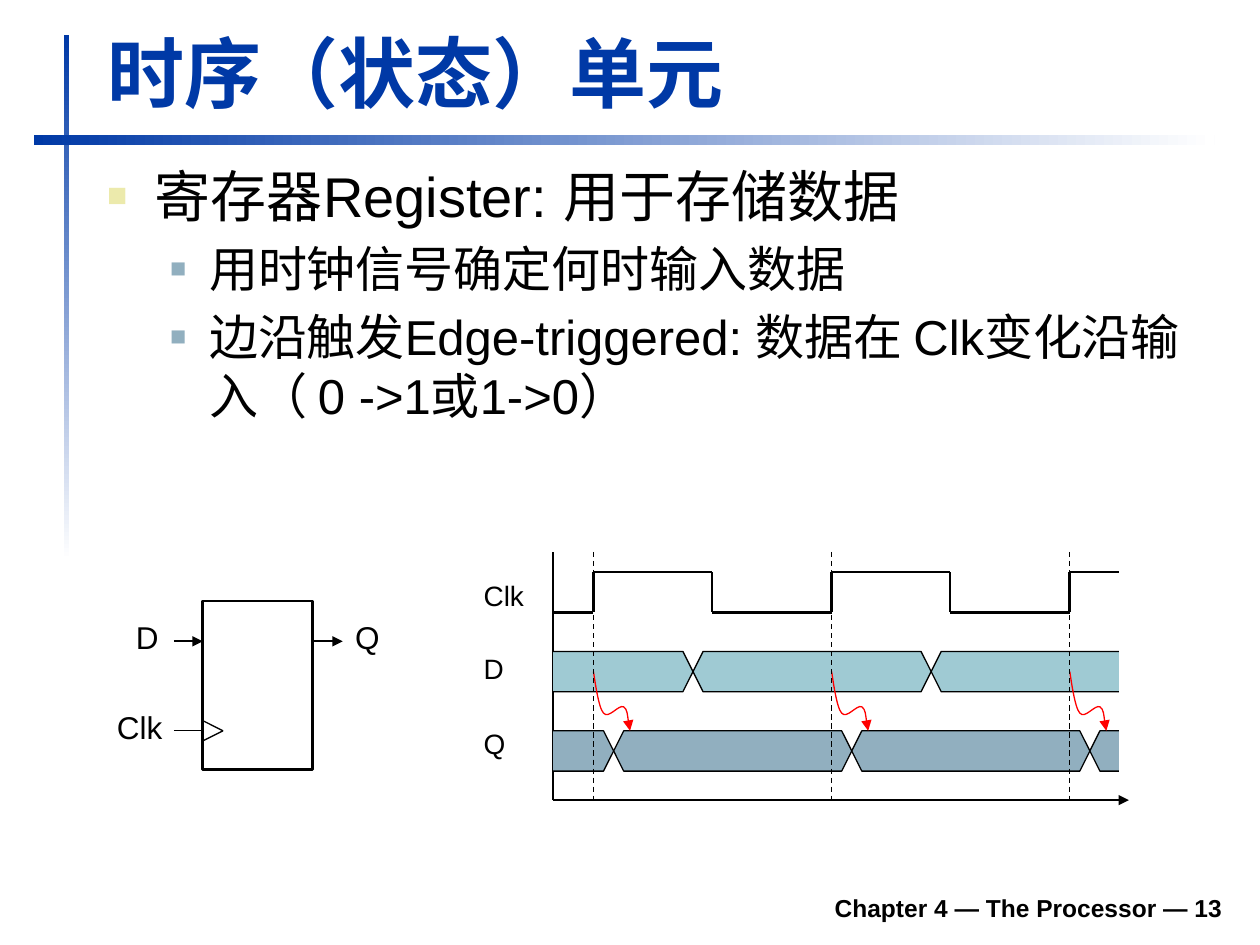
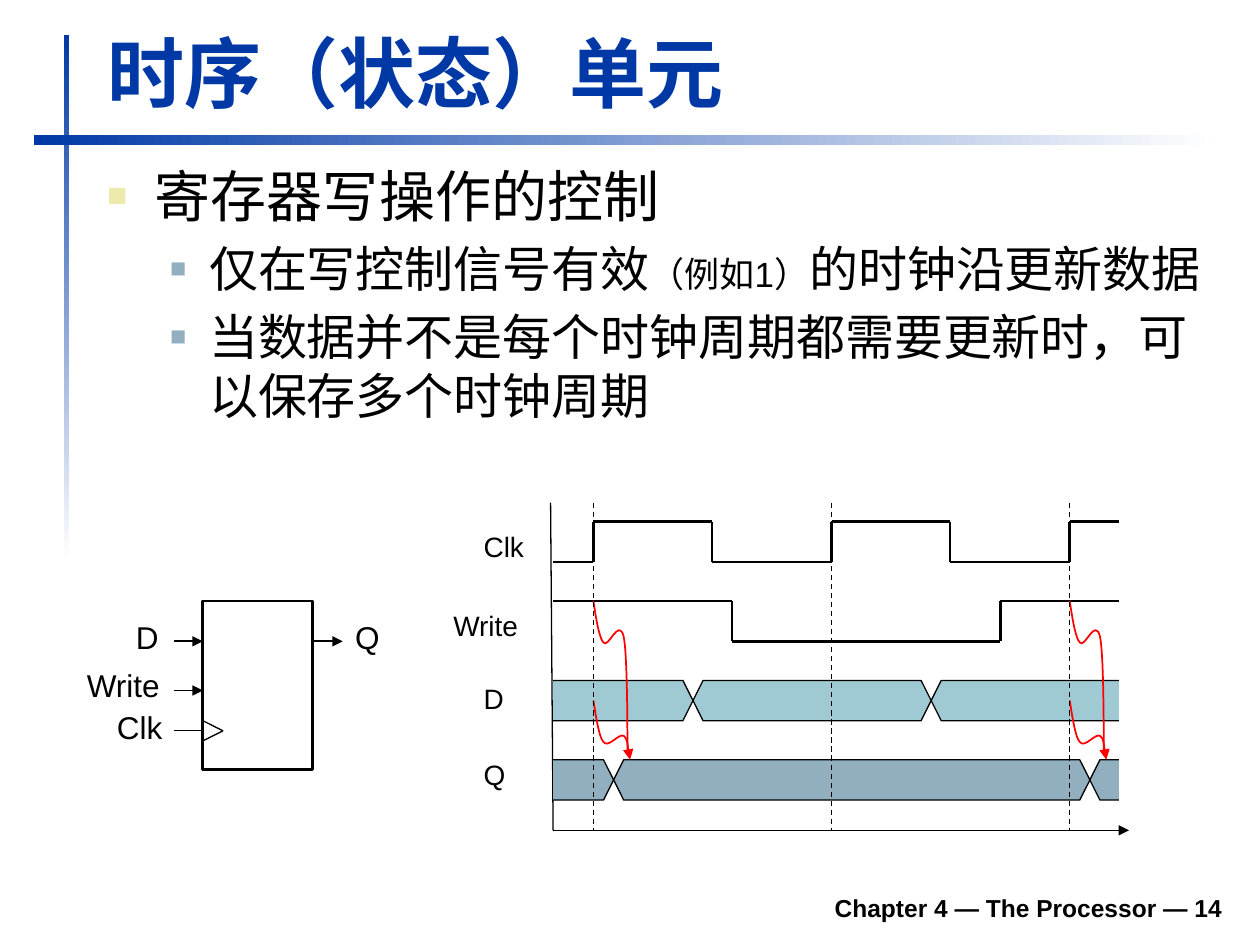
"""Build two slides on clocked registers, each with a block symbol and a timing chart."""
from lxml.etree import SubElement
from pptx import Presentation
from pptx.dml.color import RGBColor
from pptx.enum.dml import MSO_LINE
from pptx.enum.shapes import MSO_CONNECTOR, MSO_SHAPE
from pptx.enum.text import MSO_ANCHOR, MSO_AUTO_SIZE, PP_ALIGN
from pptx.oxml.ns import qn
from pptx.util import Inches, Pt

RECT = MSO_SHAPE.RECTANGLE
STRAIGHT = MSO_CONNECTOR.STRAIGHT
DASH = MSO_LINE.DASH
BOTTOM = MSO_ANCHOR.BOTTOM
GROW = MSO_AUTO_SIZE.SHAPE_TO_FIT_TEXT
FIXED = MSO_AUTO_SIZE.NONE
LEFT = PP_ALIGN.LEFT
RIGHT = PP_ALIGN.RIGHT

FONT = "Arial"
BLUE, BLACK, WHITE, RED = "0039A6", "000000", "FFFFFF", "FF0000"
TEAL, STEEL, CREAM = "9FCAD3", "91AFBF", "ECEAAC"
rgb = RGBColor.from_string

START, END = 4.39, 8.88
EDGES = [4.71, 6.6, 8.49]
HALF, SWING, SLANT = 0.94, 0.32, 0.08
SHORT = [(0, 0), (.01, .06), (.04, .29), (.08, .33), (.12, .38), (.2, .26),
         (.24, .28), (.27, .3), (.28, .43), (.29, .47)]
LONG = [(0, 0), (.01, .06), (.04, .29), (.08, .33), (.12, .38), (.2, .13),
        (.24, .28), (.27, .42), (.27, 1.01), (.27, 1.2)]
LEVELS = [(0.38, 0.38, CREAM, 60), (0.81, 0.31, STEEL, 55)]

PAGES = [
    dict(num=13, tall=3.02, top=4.38, clk=4.54, write=None, d=5.17, q=5.8, base=6.35,
         lean=START, flips=[4.87, 6.76, 8.65], loads=EDGES, thin=0.75,
         names=[("Clk", 3.74, 4.54, 0.52), ("D", 3.74, 5.12, 0.36), ("Q", 3.74, 5.72, 0.38)],
         body=[(0, [("寄存器Register: 用于存储数据", 32)]),
               (1, [("用时钟信号确定何时输入数据", 28)]),
               (1, [("边沿触发Edge-triggered: 数据在 Clk变化沿输入（ 0 ->1或1->0）", 28)])]),
    dict(num=14, tall=2.52, top=3.99, clk=4.14, write=4.77, d=5.4, q=6.03, base=6.59,
         lean=4.37, flips=[4.87, 8.65], loads=EDGES[::2], thin=1,
         names=[("Clk", 3.74, 4.15, 0.52), ("Write", 3.5, 4.78, 0.72),
                ("D", 3.74, 5.36, 0.36), ("Q", 3.74, 5.96, 0.38)],
         body=[(0, [("寄存器写操作的控制", 32)]),
               (1, [("仅在写控制信号有效", 28), ("（例如1）", 20), ("的时钟沿更新数据", 28)]),
               (1, [("当数据并不是每个时钟周期都需要更新时，可以保存多个时钟周期", 28)])]),
]


def ink(shape, color, width, tip=False, dash=False):
    """Style an outline and clear its shadow."""
    shape.line.color.rgb = rgb(color)
    shape.line.width = Pt(width)
    if dash:
        shape.line.dash_style = DASH
    if tip:
        SubElement(shape.line._get_or_add_ln(), qn("a:tailEnd"), type="triangle")
    SubElement(shape.element.spPr, qn("a:effectLst"))


def wire(group, start, end, width=0.75, tip=False, dash=False):
    """Draw a straight black line."""
    ends = [Inches(v) for v in (*start, *end)]
    ink(group.shapes.add_connector(STRAIGHT, *ends), BLACK, width, tip, dash)


deck = Presentation()
deck.slide_width, deck.slide_height = Inches(10), Inches(7.5)
layout = deck.slide_layouts[1]

for page in PAGES:
    slide = deck.slides.add_slide(layout)
    if page is PAGES[0]:
        for n, (box, angle) in enumerate([((0.51, 0.28, 0.04, 4.17), 270),
                                          ((0.27, 1.07, 9.37, 0.08), 0)]):
            bar = slide.shapes.add_shape(RECT, *map(Inches, box))
            bar.shadow.inherit = False
            bar.line.fill.background()
            bar.fill.gradient()
            bar.fill.gradient_angle = angle
            for stop, color in zip(bar.fill.gradient_stops, (BLUE, WHITE)):
                stop.color.rgb = rgb(color)
            layout.slide_master.element.cSld.spTree.insert(2 + n, bar.element)

    foot = slide.shapes.add_textbox(*map(Inches, (1.85, 6.98, 7.95, 0.39)))
    title, body = slide.placeholders[0], slide.placeholders[1]
    for shape, box in ((title, (0.75, 0.16, 9.03, 0.83)), (body, (0.75, 1.23, 9.05, page["tall"]))):
        shape.left, shape.top, shape.width, shape.height = map(Inches, box)
        shape.text_frame.auto_size = FIXED
    for shape, text, size, color, align in (
            (foot, f"Chapter 4 — The Processor — {page['num']}", 14, BLACK, RIGHT),
            (title, "时序（状态）单元", 44, BLUE, LEFT)):
        frame = shape.text_frame
        frame.word_wrap = True
        frame.vertical_anchor = BOTTOM
        para = frame.paragraphs[0]
        para.alignment = align
        run = para.add_run()
        run.text = text
        run.font.name, run.font.size, run.font.bold = FONT, Pt(size), True
        run.font.color.rgb = rgb(color)

    for n, (level, runs) in enumerate(page["body"]):
        frame = body.text_frame
        para = frame.add_paragraph() if n else frame.paragraphs[0]
        para.level = level
        margin, hang, color, size = LEVELS[level]
        props = para._p.get_or_add_pPr()
        props.set("marL", str(Inches(margin)))
        props.set("indent", str(-Inches(hang)))
        SubElement(SubElement(props, qn("a:buClr")), qn("a:srgbClr"), val=color)
        SubElement(props, qn("a:buSzPct"), val=str(size * 1000))
        SubElement(props, qn("a:buFont"), typeface=FONT)
        SubElement(props, qn("a:buChar"), char="■")
        if n == 0:
            para.space_before = Pt(0)
        for text, size in runs:
            run = para.add_run()
            run.text = text
            run.font.name, run.font.size = FONT, Pt(size)
            run.font.color.rgb = rgb(BLACK)

    block = slide.shapes.add_group_shape()
    cell = block.shapes.add_shape(RECT, *map(Inches, (1.61, 4.77, 0.87, 1.34)))
    cell.fill.background()
    ink(cell, BLACK, 1.5)
    wire(block, (1.38, 5.09), (1.61, 5.09), 1, tip=True)
    wire(block, (2.48, 5.09), (2.72, 5.09), 1, tip=True)
    wire(block, (1.38, 5.8), (1.61, 5.8))
    for y in (5.72, 5.88):
        wire(block, (1.61, y), (1.77, 5.8))
    pins = [("D", 0.98, 4.86, 0.38), ("Clk", 0.83, 5.57, 0.56), ("Q", 2.72, 4.86, 0.4)]
    if page["write"]:
        wire(block, (1.38, 5.48), (1.61, 5.48), 1, tip=True)
        pins.append(("Write", 0.59, 5.24, 0.78))

    chart = slide.shapes.add_group_shape()
    for group, names, size, tall in ((block, pins, 18, 0.4), (chart, page["names"], 16, 0.37)):
        for text, x, y, wide in names:
            label = group.shapes.add_textbox(*map(Inches, (x, y, wide, tall)))
            label.text_frame.word_wrap = False
            label.text_frame.auto_size = GROW
            run = label.text_frame.paragraphs[0].add_run()
            run.text = text
            run.font.name, run.font.size = FONT, Pt(size)
            run.font.color.rgb = rgb(BLACK)

    high, low = page["clk"], page["clk"] + SWING
    clock = [(START, low)]
    for x in EDGES:
        clock += [(x, low), (x, high), (x + HALF, high), (x + HALF, low)]
    waves = [clock[:-2] + [(END, high)]]
    if page["write"]:
        high, low = page["write"], page["write"] + SWING
        waves.append([(START, high), (5.81, high), (5.81, low),
                      (7.94, low), (7.94, high), (END, high)])
    for wave in waves:
        for start, end in zip(wave, wave[1:]):
            wire(chart, start, end, 1.5)
    wire(chart, (START, page["base"]), (8.96, page["base"]), tip=True)
    wire(chart, (START, page["base"]), (page["lean"], page["top"]))

    for top, flips, color in ((page["d"], [5.5, 7.39], TEAL), (page["q"], page["flips"], STEEL)):
        mid, low = top + SWING / 2, top + SWING
        stops = [START, *flips, END]
        for a, b in zip(stops, stops[1:]):
            left = [(a + SLANT, low), (a, mid), (a + SLANT, top)]
            right = [(b - SLANT, top), (b, mid), (b - SLANT, low)]
            if a == START:
                dots = [(a, top), *right, (a, low)]
            elif b == END:
                dots = [(b, low), *left, (b, top)]
            else:
                dots = left + right
            dots = [(Inches(x), Inches(y)) for x, y in dots]
            pen = chart.shapes.build_freeform(*dots[0])
            pen.add_line_segments(dots[1:], close=START < a and b < END)
            band = pen.convert_to_shape()
            band.fill.solid()
            band.fill.fore_color.rgb = rgb(color)
            ink(band, BLACK, 0.75)

    for x in page["loads"]:
        bends = [(SHORT, page["d"] + SWING / 2, True)]
        if page["write"]:
            bends.append((LONG, page["write"], False))
        for bend, y, tip in bends:
            dots = [(Inches(x + dx), Inches(y + dy)) for dx, dy in bend]
            pen = chart.shapes.build_freeform(*dots[0])
            pen.add_line_segments(dots[1:], close=False)
            arrow = pen.convert_to_shape()
            arrow.fill.background()
            ink(arrow, RED, page["thin"], tip)
            track = next(arrow.element.iter(qn("a:path")))
            steps = track.findall(qn("a:lnTo"))
            for n in range(0, len(steps), 3):
                curve = SubElement(track, qn("a:cubicBezTo"))
                for step in steps[n:n + 3]:
                    curve.append(step[0])
                    track.remove(step)

    for x in EDGES:
        wire(chart, (x, page["top"]), (x, page["base"]), dash=True)

deck.save("out.pptx")
